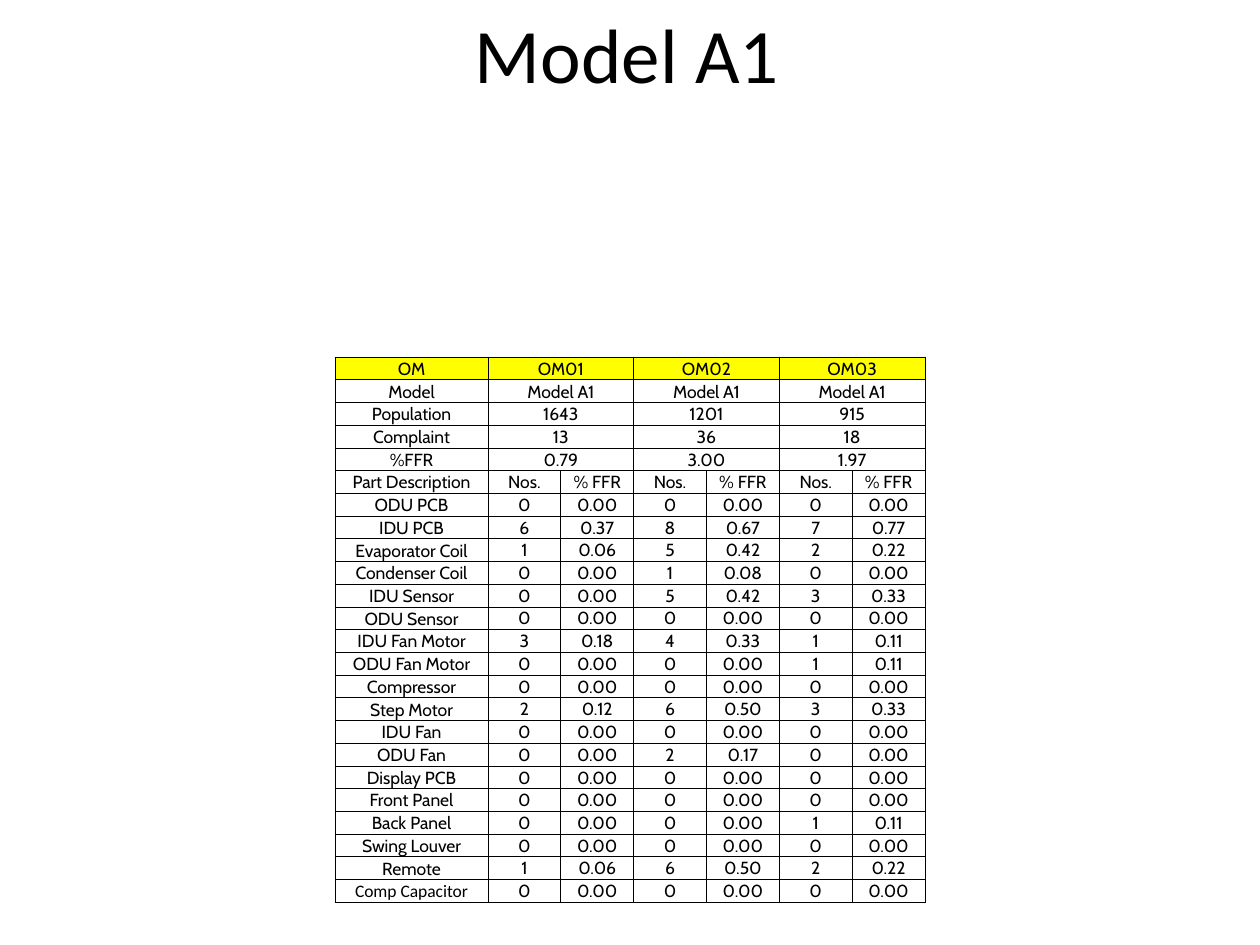
from lxml import etree
from pptx import Presentation
from pptx.dml.color import RGBColor
from pptx.enum.text import MSO_ANCHOR, MSO_AUTO_SIZE, PP_ALIGN
from pptx.oxml.ns import qn
from pptx.util import Emu, Pt

PX_PER_INCH = 126
BLACK = RGBColor(0x00, 0x00, 0x00)
YELLOW = RGBColor(0xFF, 0xFF, 0x00)
CENTER = PP_ALIGN.CENTER
MIDDLE = MSO_ANCHOR.MIDDLE
BOTTOM = MSO_ANCHOR.BOTTOM
NO_AUTOFIT = MSO_AUTO_SIZE.NONE

TITLE_ONLY_LAYOUT = 5
MODEL = "Model A1"
BATCHES = ["OM01", "OM02", "OM03"]
POPULATIONS = [1643, 1201, 915]
COMPLAINTS = [13, 36, 18]
PART_FAILURES = [
    ("ODU PCB", (0, 0, 0)),
    ("IDU PCB", (6, 8, 7)),
    ("Evaporator Coil", (1, 5, 2)),
    ("Condenser Coil", (0, 1, 0)),
    ("IDU Sensor", (0, 5, 3)),
    ("ODU Sensor", (0, 0, 0)),
    ("IDU Fan Motor", (3, 4, 1)),
    ("ODU Fan Motor", (0, 0, 1)),
    ("Compressor", (0, 0, 0)),
    ("Step Motor", (2, 6, 3)),
    ("IDU Fan", (0, 0, 0)),
    ("ODU Fan", (0, 2, 0)),
    ("Display PCB", (0, 0, 0)),
    ("Front Panel", (0, 0, 0)),
    ("Back Panel", (0, 0, 1)),
    ("Swing Louver", (0, 0, 0)),
    ("Remote", (1, 6, 2)),
    ("Comp Capacitor", (0, 0, 0)),
]


def px(length):
    return Emu(round(length * 914400 / PX_PER_INCH))


def write_text(text_frame, text, font="Cabin", size=10, color=BLACK, align=CENTER):
    paragraph = text_frame.paragraphs[0]
    paragraph.alignment = align
    run = paragraph.add_run()
    run.text = text
    run.font.name = font
    run.font.size = Pt(size)
    run.font.bold = False
    run.font.color.rgb = color


def failure_rate(failures, population):
    return f"{100 * failures / population:.2f}"


def summary_rows():
    rates = [failure_rate(*pair) for pair in zip(COMPLAINTS, POPULATIONS)]
    return [
        ("OM", BATCHES),
        ("Model", [MODEL] * len(BATCHES)),
        ("Population", POPULATIONS),
        ("Complaint", COMPLAINTS),
        ("%FFR", rates),
    ]


def table_rows():
    rows = []
    for label, values in summary_rows():
        rows.append([label] + [text for value in values for text in (str(value), "")])
    rows.append(["Part Description"] + ["Nos.", "% FFR"] * len(BATCHES))
    for part, failures in PART_FAILURES:
        row = [part]
        for count, population in zip(failures, POPULATIONS):
            row += [str(count), failure_rate(count, population)]
        rows.append(row)
    return rows


def set_borders(cell, color=BLACK, width=0.5):
    properties = cell._tc.get_or_add_tcPr()
    for side in ("a:lnL", "a:lnR", "a:lnT", "a:lnB"):
        line = etree.SubElement(properties, qn(side), w=str(Pt(width)))
        fill = etree.SubElement(line, qn("a:solidFill"))
        etree.SubElement(fill, qn("a:srgbClr"), val=str(color))


def format_cell(cell, text, fill=None, anchor=BOTTOM, font="Cabin"):
    cell.margin_left = cell.margin_right = cell.margin_top = px(1)
    cell.margin_bottom = 0
    cell.vertical_anchor = anchor
    write_text(cell.text_frame, text, font=font)
    set_borders(cell)
    if fill is None:
        cell.fill.background()
    else:
        cell.fill.solid()
        cell.fill.fore_color.rgb = fill


def add_title(slide, left, top, width, height):
    title = slide.shapes.title
    title.left, title.top, title.width, title.height = map(px, (left, top, width, height))
    title.text_frame.auto_size = NO_AUTOFIT
    title.text_frame.vertical_anchor = MIDDLE
    write_text(title.text_frame, MODEL, font="Calibri", size=44)


def add_failure_table(slide, left, top, width, height, label_width):
    rows = table_rows()
    column_count = len(rows[0])
    frame = slide.shapes.add_table(
        len(rows), column_count, px(left), px(top), px(width), px(height))
    table = frame.table
    table.first_row = False
    table.horz_banding = False
    for index, column in enumerate(table.columns):
        value_width = (width - label_width) / (column_count - 1)
        column.width = px(value_width if index else label_width)
    for row in table.rows:
        row.height = px(height / len(rows))

    header_index = len(summary_rows())
    last_index = len(rows) - 1
    for row_index, texts in enumerate(rows):
        for column_index, text in enumerate(texts):
            is_last_label = row_index == last_index and column_index == 0
            is_value = row_index > header_index and column_index > 0
            format_cell(
                table.cell(row_index, column_index), text,
                fill=YELLOW if row_index == 0 else None,
                anchor=MIDDLE if is_value or is_last_label else BOTTOM,
                font="Calibri" if is_last_label else "Cabin")
    for row_index in range(header_index):
        for column_index in range(1, column_count, 2):
            table.cell(row_index, column_index).merge(
                table.cell(row_index, column_index + 1))


def main():
    presentation = Presentation()
    presentation.slide_width = px(1260)
    presentation.slide_height = px(945)
    slide = presentation.slides.add_slide(presentation.slide_layouts[TITLE_ONLY_LAYOUT])
    add_title(slide, 60, 21, 1134, 63)
    add_failure_table(slide, 335, 357, 590, 546, label_width=153)
    presentation.save("out.pptx")


if __name__ == "__main__":
    main()
